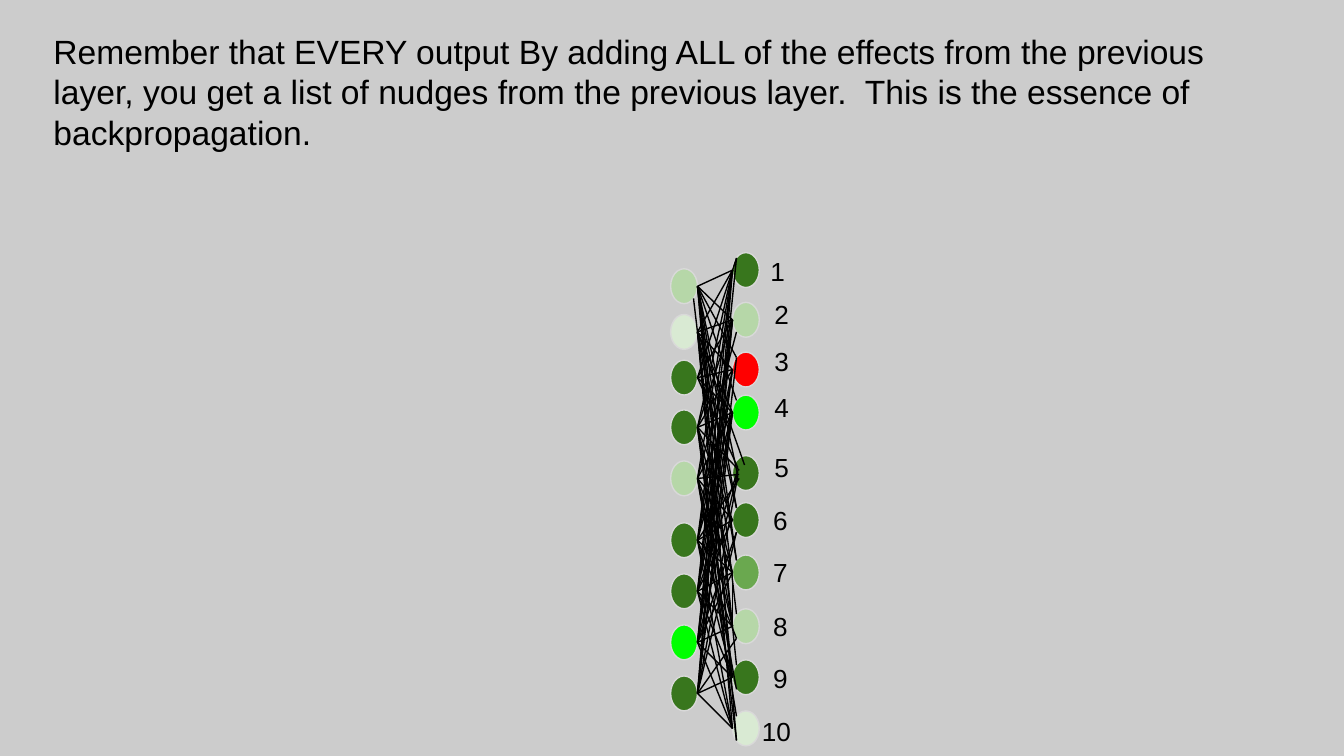
from dataclasses import dataclass
from pptx import Presentation
from pptx.dml.color import RGBColor
from pptx.enum.shapes import MSO_CONNECTOR as CONN, MSO_SHAPE as SHAPE
from pptx.enum.text import MSO_ANCHOR as ANCHOR
from pptx.oxml.ns import qn
from pptx.util import Inches, Pt
from lxml import etree


@dataclass(frozen=True)
class Theme:
    background: str = "CCCCCC"
    ink: str = "000000"
    outline: str = "D9D9D9"
    dark: str = "38761D"
    mid: str = "6AA84F"
    light: str = "B6D7A8"
    pale: str = "D9EAD3"
    bright: str = "00FF00"
    red: str = "FF0000"
    font: str = "Arial"
    title_size: int = 18
    label_size: int = 14
    line_width: float = 0.75


class Builder:
    def __init__(self, slide, theme):
        self.s = slide
        self.theme = theme
        fill = slide.background.fill
        fill.solid()
        fill.fore_color.rgb = RGBColor.from_string(theme.background)

    def node(self, x, y, color):
        sp = self.s.shapes.add_shape(
            SHAPE.OVAL, Inches(x), Inches(y), Inches(NODE_W), Inches(NODE_H))
        sp.shadow.inherit = False
        sp.fill.solid()
        sp.fill.fore_color.rgb = RGBColor.from_string(color)
        sp.line.color.rgb = RGBColor.from_string(self.theme.outline)
        sp.line.width = Pt(self.theme.line_width)

    def line(self, start, end):
        ends = [Inches(v) for v in (*start, *end)]
        c = self.s.shapes.add_connector(CONN.STRAIGHT, *ends)
        c.line.color.rgb = RGBColor.from_string(self.theme.ink)
        c.line.width = Pt(self.theme.line_width)
        etree.SubElement(c._element.spPr, qn("a:effectLst"))

    def text(self, x, y, w, h, text, size):
        sp = self.s.shapes.add_textbox(Inches(x), Inches(y), Inches(w), Inches(h))
        tf = sp.text_frame
        tf.word_wrap = True
        tf.vertical_anchor = ANCHOR.TOP
        tf.margin_left = tf.margin_right = Inches(0.1)
        tf.margin_top = tf.margin_bottom = Inches(0.1)
        p = tf.paragraphs[0]
        p.text = text
        p.font.name = self.theme.font
        p.font.size = Pt(size)
        p.font.color.rgb = RGBColor.from_string(self.theme.ink)


NODE_W, NODE_H = 0.2, 0.26
HIDDEN_X, OUTPUT_X = 4.99, 5.45
SITES = {"L": (0, 0.13), "T": (0.03, 0.04), "B": (0.03, 0.22),
         "R": (0.2, 0.13), "C": (0.17, 0.22)}
TITLE = ("Remember that EVERY output By adding ALL of the effects from the "
         "previous layer, you get a list of nudges from the previous layer.  "
         "This is the essence of backpropagation.")

T = Theme()
HIDDEN = [(2, T.light), (2.34, T.pale), (2.68, T.dark), (3.05, T.dark),
          (3.43, T.light), (3.89, T.dark), (4.27, T.dark), (4.65, T.bright),
          (5.03, T.dark)]
OUTPUT = [(1.88, T.dark), (2.25, T.light), (2.62, T.red), (2.94, T.bright),
          (3.39, T.dark), (3.74, T.dark), (4.13, T.mid), (4.53, T.light),
          (4.91, T.dark), (5.29, T.pale)]

LINKS = [
    ("LLTT*TTTTB", (5.49, 3.54)),
    ("LLLL*TT-LL", (5.54, 3.46)),
    ("TLLL*-----", (5.49, 3.48)),
    ("LLLL*LLLLB", (5.5, 3.5)),
    ("LB-L*LLLBT", (5.5, 3.53)),
    ("LLLL*LLBLL", (5.5, 3.56)),
    ("LLLL*LLLLL", (5.49, 3.5)),
    ("TLLL*BLLLL", (5.49, 3.51)),
    ("LLTL*B-BLL", (5.49, 3.54)),
]
LABELS = [(5.64, 1.8), (5.67, 2.12), (5.67, 2.47), (5.67, 2.81), (5.67, 3.26),
          (5.66, 3.65), (5.66, 4.04), (5.66, 4.44), (5.66, 4.83), (5.57, 5.22)]


def site(x, y, side):
    dx, dy = SITES[side]
    return x + dx, y + dy


def main():
    prs = Presentation()
    prs.slide_width = Inches(10)
    prs.slide_height = prs.slide_width * 9 // 16
    b = Builder(prs.slides.add_slide(prs.slide_layouts[6]), T)

    for x, layer in ((HIDDEN_X, HIDDEN), (OUTPUT_X, OUTPUT)):
        for y, color in layer:
            b.node(x, y, color)

    for (hidden_y, _), (sides, free_end) in zip(HIDDEN, LINKS):
        start = site(HIDDEN_X, hidden_y, "R")
        for (output_y, _), side in zip(OUTPUT, sides):
            if side == "*":
                b.line(start, free_end)
            elif side != "-":
                b.line(start, site(OUTPUT_X, output_y, side))

    output_7, output_8 = (site(OUTPUT_X, OUTPUT[i][0], "L") for i in (6, 7))
    b.line(site(HIDDEN_X, HIDDEN[0][0], "C"), output_8)
    b.line(output_8, output_7)

    for number, (x, y) in enumerate(LABELS, 1):
        b.text(x, y, 0.19 if number < 10 else 0.47, 0.31, str(number), T.label_size)
    b.text(0.3, 0.13, 9.4, 1.17, TITLE, T.title_size)

    prs.save("out.pptx")


if __name__ == "__main__":
    main()
